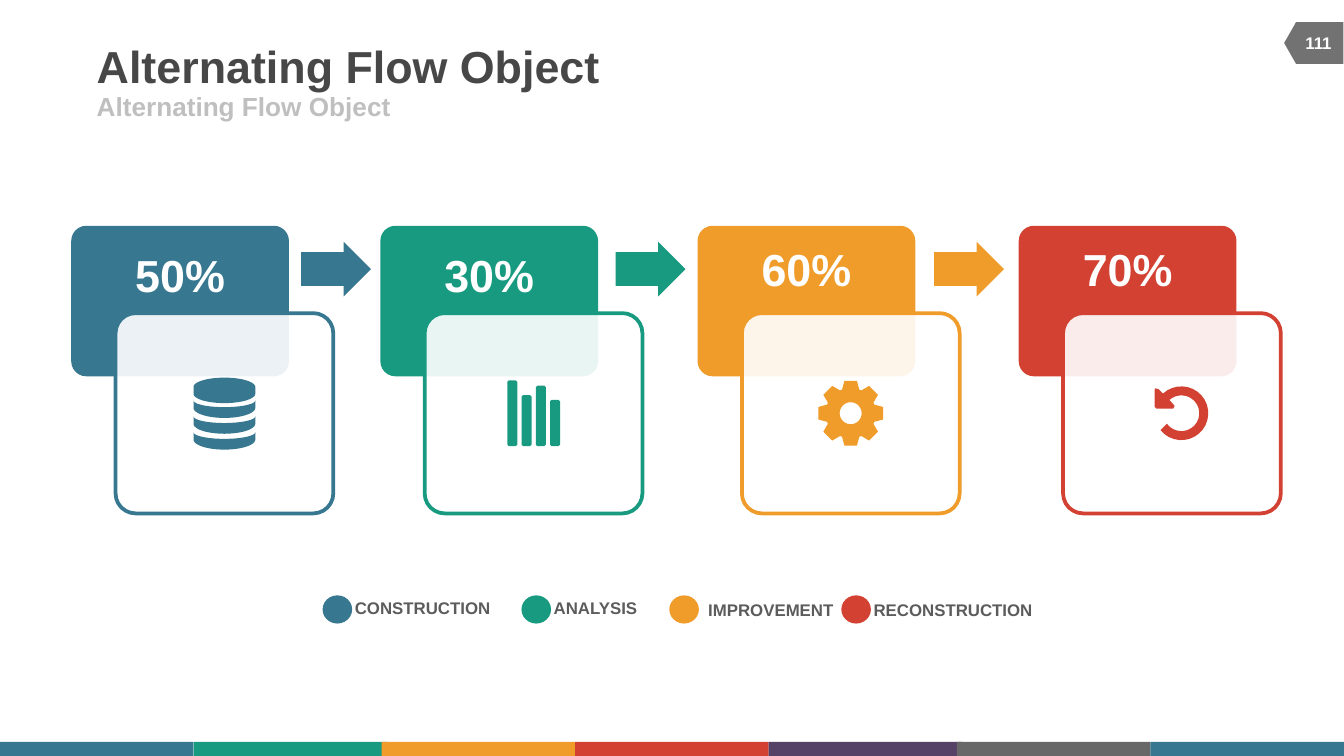
from dataclasses import dataclass
from math import cos, radians, sin

from lxml import etree
from pptx import Presentation
from pptx.dml.color import RGBColor
from pptx.enum.shapes import MSO_SHAPE as Shape
from pptx.enum.text import MSO_ANCHOR as Anchor, MSO_AUTO_SIZE as AutoSize, PP_ALIGN as Align
from pptx.oxml.ns import qn
from pptx.util import Inches, Pt


@dataclass(frozen=True)
class Theme:
    blue: str = "377790"
    green: str = "189A80"
    orange: str = "F09C2A"
    red: str = "D24132"
    purple: str = "564266"
    grey: str = "686868"
    badge: str = "727272"
    title: str = "474747"
    subtitle: str = "BFBFBF"
    label: str = "5C5C5C"
    white: str = "FFFFFF"
    font: str = "Arial"
    big: int = 24
    medium: int = 14
    small: int = 9
    outline: int = 2


def grid(*cells):
    """Turn cells of a 100-column grid, a tenth of an inch each, into lengths."""
    return [Inches(cell / 10) for cell in cells]


def set_all(target, values):
    for name, value in values.items():
        setattr(target, name, value)


def arc(rx, ry, start, end, cx=0, cy=0, steps=24):
    angles = [radians(start + (end - start) * i / steps) for i in range(steps + 1)]
    return [(cx + rx * cos(a), cy + ry * sin(a)) for a in angles]


def database_icon():
    """A lid and three bands, each bounded by an upper and a lower half ellipse."""
    def disc(top, top_sag, bottom, bottom_sag):
        return arc(2.3, top_sag, 180, 0, cy=top) + arc(2.3, bottom_sag, 0, 180, cy=bottom)

    bands = [disc(-0.95 + 1.18 * i, 0.5, -0.4 + 1.18 * i, 0.75) for i in range(3)]
    return [disc(-1.95, -0.7, -1.45, 0.7)] + bands


def bars_icon():
    """Four bars with clipped corners on one baseline."""
    def bar(left, top, right, bottom, cut=0.12):
        return [(left + cut, top), (right - cut, top), (right, top + cut),
                (right, bottom - cut), (right - cut, bottom), (left + cut, bottom),
                (left, bottom - cut), (left, top + cut)]

    tops = (-2.45, -1.35, -2.05, -1)
    return [bar(-1.95 + 1.06 * i, top, -1.2 + 1.06 * i, 2.45) for i, top in enumerate(tops)]


def gear_icon():
    """Eight teeth, each with two root and two tip corners, around a hole."""
    corners = ((-20, 1.87), (-11, 2.45), (11, 2.45), (20, 1.87))
    teeth = [(radius * cos(radians(45 * tooth + turn)), radius * sin(radians(45 * tooth + turn)))
             for tooth in range(8) for turn, radius in corners]
    return [teeth, arc(0.82, 0.82, 0, 360)]


def undo_icon():
    head = [(-1.7, -1.8), (-1.95, -1.85), (-2, -1.7), (-2, -0.5),
            (-1.85, -0.35), (-0.6, -0.35), (-0.5, -0.55)]
    ring = arc(2, 2, 141, -133) + head + arc(1.33, 1.33, -132, 144)
    return [[(x + 0.7, y) for x, y in ring]]


class SlideBuilder:
    def __init__(self, slide, theme):
        self.shapes = slide.shapes
        self.theme = theme

    def paint(self, shape, fill, line=None, opacity=None):
        shape.shadow.inherit = False
        shape.fill.solid()
        shape.fill.fore_color.rgb = RGBColor.from_string(fill)
        if opacity:
            color = shape.fill._xPr.find(qn("a:solidFill"))[0]
            etree.SubElement(color, qn("a:alpha"), val=str(opacity * 1000))
        if line:
            shape.line.color.rgb = RGBColor.from_string(line)
            shape.line.width = Pt(self.theme.outline)
        else:
            shape.line.fill.background()

    def preset(self, kind, box, fill, adjust=(), rotation=0, **paint):
        shape = self.shapes.add_shape(kind, *grid(*box))
        shape.rotation = rotation
        for i, value in enumerate(adjust):
            shape.adjustments[i] = value
        self.paint(shape, fill, **paint)

    def icon(self, contours, center_x, center_y, fill):
        placed = [[grid(center_x + x, center_y + y) for x, y in contour] for contour in contours]
        builder = self.shapes.build_freeform(*placed[0][0])
        for i, (start, *rest) in enumerate(placed):
            if i:
                builder.move_to(*start)
            builder.add_line_segments(rest, close=True)
        self.paint(builder.convert_to_shape(), fill)

    def text(self, words, box, size, color, align=Align.LEFT, **frame_format):
        frame = self.shapes.add_textbox(*grid(*box)).text_frame
        margins = dict.fromkeys(("margin_left", "margin_top", "margin_right", "margin_bottom"), 0)
        set_all(frame, {**margins, "word_wrap": False, **frame_format})
        paragraph = frame.paragraphs[0]
        paragraph.alignment = align
        run = paragraph.add_run()
        run.text = words
        set_all(run.font, {"name": self.theme.font, "size": Pt(size), "bold": True})
        run.font.color.rgb = RGBColor.from_string(color)

    def step(self, left, percent, percent_top, contours, color):
        theme = self.theme
        self.preset(Shape.ROUNDED_RECTANGLE, (left, 16.8, 16.2, 11.2), color, adjust=[0.1])
        self.preset(Shape.ROUNDED_RECTANGLE, (left + 3.3, 23.3, 16.2, 14.9), theme.white,
                    adjust=[0.1], line=color, opacity=90)
        self.icon(contours, left + 11.4, 30.75, color)
        self.text(percent, (left + 4.75, percent_top, 6.7, 4), theme.big, theme.white,
                  Align.CENTER, vertical_anchor=Anchor.BOTTOM, auto_size=AutoSize.SHAPE_TO_FIT_TEXT)

    def arrow(self, left, color):
        self.preset(Shape.RIGHT_ARROW, (left, 18, 5.2, 4.05), color, adjust=[0.62, 0.5])

    def legend(self, name, dot_left, text_left, text_top, width, color):
        self.text(name, (text_left, text_top, width, 1.5), self.theme.small, self.theme.label,
                  auto_size=AutoSize.SHAPE_TO_FIT_TEXT)
        self.preset(Shape.OVAL, (dot_left, 44.3, 2.2, 2.1), color)


def main():
    deck = Presentation()
    deck.slide_width, deck.slide_height = grid(100, 56.25)
    theme = Theme()
    page = SlideBuilder(deck.slides.add_slide(deck.slide_layouts[6]), theme)
    colors = (theme.blue, theme.green, theme.orange, theme.red)

    stripe_lefts = (0, 14.4, 28.4, 42.8, 57.2, 71.2, 85.6)
    for left, color in zip(stripe_lefts, (*colors, theme.purple, theme.grey, theme.blue)):
        page.preset(Shape.RECTANGLE, (left, 55.2, 14.4, 1.05), color)

    page.preset(Shape.FLOWCHART_OFFPAGE_CONNECTOR, (96.2, 1, 3.1, 4.4), theme.badge, rotation=90)
    middle = {"vertical_anchor": Anchor.MIDDLE, "word_wrap": True}
    page.text("Alternating Flow Object", (7.2, 2.9, 61.7, 3.9), theme.big, theme.title, **middle)
    page.text("Alternating Flow Object", (7.2, 6.8, 45, 2.2), theme.medium, theme.subtitle, **middle)
    page.text("111", (96, 1.7, 4.2, 3), theme.small, theme.white, Align.CENTER, **middle)

    steps = (
        (5.3, "50%", 18.4, database_icon()),
        (28.3, "30%", 18.4, bars_icon()),
        (51.9, "60%", 18, gear_icon()),
        (75.8, "70%", 18, undo_icon()),
    )
    for step, color in zip(steps, colors):
        page.step(*step, color)
    for left, color in zip((22.4, 45.8, 69.5), colors):
        page.arrow(left, color)

    legends = (
        ("CONSTRUCTION", 24, 26.4, 44.5, 10.2),
        ("ANALYSIS", 38.8, 41.2, 44.5, 6.4),
        ("IMPROVEMENT", 49.8, 52.7, 44.6, 9.4),
        ("RECONSTRUCTION", 62.6, 65, 44.6, 11.9),
    )
    for legend, color in zip(legends, colors):
        page.legend(*legend, color)

    deck.save("out.pptx")


if __name__ == "__main__":
    main()
